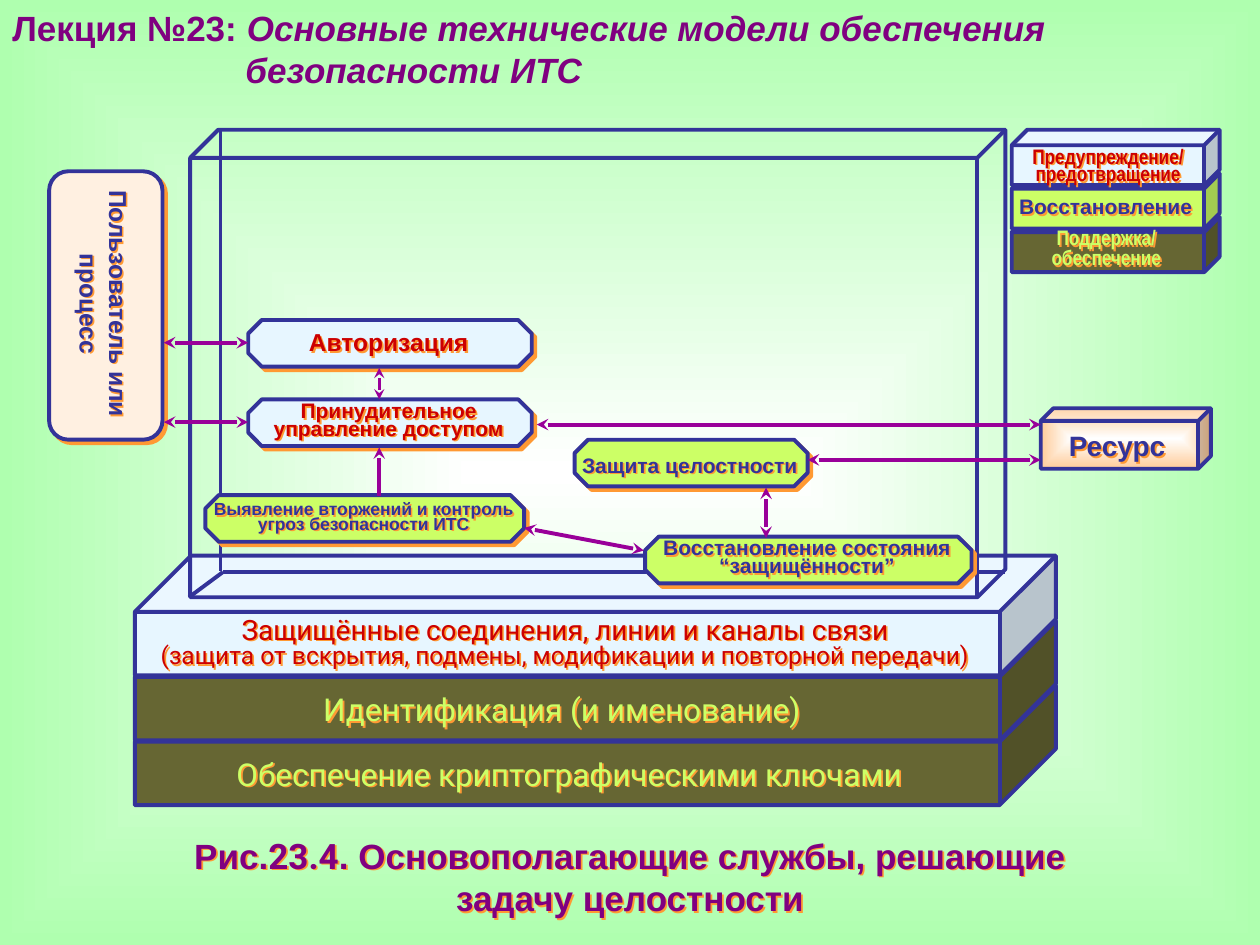
from lxml import etree
from pptx import Presentation
from pptx.dml.color import RGBColor
from pptx.enum.shapes import MSO_CONNECTOR, MSO_SHAPE
from pptx.enum.text import MSO_ANCHOR, PP_ALIGN
from pptx.oxml.ns import qn
from pptx.util import Inches, Pt

CUBE, OCT, ROUND = MSO_SHAPE.CUBE, MSO_SHAPE.OCTAGON, MSO_SHAPE.ROUNDED_RECTANGLE
LINE = MSO_CONNECTOR.STRAIGHT
CENTER, LEFT = PP_ALIGN.CENTER, PP_ALIGN.LEFT
MIDDLE, TOP = MSO_ANCHOR.MIDDLE, MSO_ANCHOR.TOP

WIDE, HIGH = Inches(10), Inches(7.5)
COLS, ROWS = 1000, 750

THEME = {
    "navy": "333399", "plum": "800080", "arrow": "990099", "red": "CC0000",
    "lime": "CCFF66", "olive": "666633", "ice": "E7F6FF", "cream": "FFF0E1",
    "glow": "FF9933", "white": "FFFFFF", "mint": "AFFFAF", "peach": "FFCC99",
    "edge": 2.25, "thin": 1.5, "cast": 2.8, "soft": 1.4,
    "head": 20, "bar": 18, "mid": 16, "text": 14, "small": 12, "tiny": 10,
}

BASE = ["olive", "olive", "ice"]
KEYS = ["olive", "lime", "ice"]
STAGES = [
    (163, 393, 253, "lime"),
    (512, 426, 259, "lime"),
    (456, 349, 185, "lime"),
    (197, 254, 225, "ice"),
    (197, 317, 225, "ice"),
]
EDGES = [
    (175, 103, 175, 453),
    (177, 454, 150, 474),
    (177, 454, 798, 454),
]
BOTH, END = ("headEnd", "tailEnd"), ("tailEnd",)
ARROWS = [
    (130, 272, 197, 272, "edge", BOTH),
    (130, 335, 197, 335, "edge", BOTH),
    (301, 317, 301, 292, "thin", BOTH),
    (301, 394, 301, 355, "edge", END),
    (426, 337, 826, 337, "edge", BOTH),
    (641, 365, 826, 365, "edge", BOTH),
    (608, 427, 608, 387, "edge", BOTH),
    (511, 437, 416, 419, "edge", BOTH),
]

BOLD = {"name": "Arial", "bold": True}
SLIM = {"name": "Arial Narrow", "bold": True}
PLAIN = {"name": "Roboto", "bold": False}
SLANT = {"italic": True}

TEXTS = [
    ((0, 662, 1000, 67), "head", "plum", BOLD, 1,
     [["Рис.", ("23.4", {"name": "Roboto"}),
       ". Основополагающие службы, решающие"], ["задачу целостности"]]),
    ((839, 340, 95, 27), "mid", "navy", BOLD, 1, [["Ресурс"]]),
    ((110, 491, 677, 40), "mid", "red", PLAIN, 0.8,
     [["Защищённые соединения, линии и каналы связи"],
      [("(защита от вскрытия, подмены, модификации и повторной передачи)",
        {"size": Pt(THEME["text"])})]]),
    ((120, 548, 652, 30), "bar", "lime", PLAIN, 1, [["Идентификация (и именование)"]]),
    ((126, 599, 652, 30), "bar", "lime", PLAIN, 1,
     [["Обеспечение криптографическими ключами"]]),
    ((213, 260, 191, 23), "text", "red", BOLD, 1, [["Авторизация"]]),
    ((213, 321, 191, 28), "small", "red", BOLD, 0.7,
     [["Принудительное управление доступом"]]),
    ((457, 359, 181, 20), "small", "navy", BOLD, 1, [["Защита целостности"]]),
    ((518, 430, 245, 28), "small", "navy", BOLD, 0.7,
     [["Восстановление состояния “защищённости”"]]),
    ((166, 400, 245, 23), "tiny", "navy", BOLD, 0.7,
     [["Выявление вторжений и контроль угроз безопасности ИТС"]]),
    ((814, 182, 128, 32), "small", "lime", SLIM, 0.8, [["Поддержка/"], ["обеспечение"]]),
    ((806, 154, 143, 20), "small", "navy", BOLD, 1, [["Восстановление"]]),
    ((806, 119, 147, 28), "small", "red", SLIM, 0.7,
     [["Предупреждение/"], ["предотвращение"]]),
]
USER = ((59, 151, 47, 184), "text", "navy", BOLD, 1, [["Пользователь или процесс"]])
TITLE = ((0, 0, 1000, 77), "head", "plum", BOLD, 1,
         [["Лекция №23: ", ("Основные технические модели обеспечения", SLANT)],
          [("безопасности ИТС", SLANT)]])


def hue(name):
    return RGBColor.from_string(THEME[name])


def place(*cells):
    units = (WIDE / COLS, HIGH / ROWS)
    return [round(n * units[i % 2]) for i, n in enumerate(cells)]


def add(root, tag, **attrs):
    return etree.SubElement(root, qn("a:" + tag), attrs)


def radiate(fill, root, kind, outer):
    fill.gradient()
    for stop, name in zip(fill.gradient_stops, ("white", outer)):
        stop.color.rgb = hue(name)
    grad = root.find(".//" + qn("a:gradFill"))
    grad.remove(grad.find(qn("a:lin")))
    ring = add(grad, "path", path=kind)
    add(ring, "fillToRect", l="50000", t="50000", r="50000", b="50000")


def cast(shape, size):
    shape.shadow.inherit = False
    glow = add(shape._element.spPr.find(qn("a:effectLst")), "outerShdw",
               dist=str(Pt(THEME[size])), dir="2700000", algn="ctr", rotWithShape="0")
    add(glow, "srgbClr", val=THEME["glow"])


def block(slide, kind, cells, fill, adj, shade=False):
    shape = slide.shapes.add_shape(kind, *place(*cells))
    shape.adjustments[0] = adj
    shape.shadow.inherit = False
    shape.line.color.rgb = hue("navy")
    shape.line.width = Pt(THEME["edge"])
    if fill is None:
        shape.fill.background()
    elif fill == "peach":
        radiate(shape.fill, shape._element.spPr, "rect", fill)
    else:
        shape.fill.solid()
        shape.fill.fore_color.rgb = hue(fill)
    if shade:
        cast(shape, "cast")


def rule(slide, cells, color, width, ends=()):
    line = slide.shapes.add_connector(LINE, *place(*cells))
    line.line.color.rgb = hue(color)
    line.line.width = Pt(THEME[width])
    for end in ends:
        add(line.line._get_or_add_ln(), end, type="stealth")
    add(line._element.spPr, "effectLst")


def write(slide, cells, size, color, face, gap, paras, label=True):
    box = slide.shapes.add_textbox(*place(*cells))
    frame = box.text_frame
    form = {"word_wrap": True, "vertical_anchor": MIDDLE if label else TOP}
    if label:
        form.update(dict.fromkeys(
            ("margin_left", "margin_top", "margin_right", "margin_bottom"), 0))
        cast(box, "soft")
    for key, val in form.items():
        setattr(frame, key, val)
    for i, runs in enumerate(paras):
        para = frame.paragraphs[0] if i == 0 else frame.add_paragraph()
        para.alignment = CENTER if label else LEFT
        para.line_spacing = gap
        for item in runs:
            text, more = (item, {}) if isinstance(item, str) else item
            run = para.add_run()
            run.text = text
            for key, val in {"size": Pt(THEME[size]), **face, **more}.items():
                setattr(run.font, key, val)
            run.font.color.rgb = hue(color)
    return box


def main():
    deck = Presentation()
    deck.slide_width, deck.slide_height = WIDE, HIGH
    slide = deck.slides.add_slide(deck.slide_layouts[6])
    radiate(slide.background.fill, slide._element, "shape", "mint")

    title = write(slide, *TITLE, label=False)
    title.text_frame.paragraphs[1]._p.get_or_add_pPr().set("marL", str(Inches(1.85)))

    for i, fill in enumerate(BASE):
        block(slide, CUBE, (107, 544 - 51.5 * i, 731, 95), fill, 0.47)
    block(slide, CUBE, (151, 103, 647, 371), None, 0.06)
    for cells in EDGES:
        rule(slide, cells, "navy", "edge")
    block(slide, ROUND, (39, 136, 90, 213), "cream", 0.17, True)
    user = write(slide, *USER)
    user.text_frame.vertical_anchor = TOP
    user.text_frame._txBody.bodyPr.set("vert", "eaVert")
    for x, y, w, fill in STAGES:
        block(slide, OCT, (x, y, w, 37), fill, 0.29, True)
    block(slide, CUBE, (826, 324, 135, 48), "peach", 0.21)
    for *cells, width, ends in ARROWS:
        rule(slide, cells, "arrow", width, ends)
    for i, fill in enumerate(KEYS):
        block(slide, CUBE, (803, 172 - 34.5 * i, 165, 44), fill, 0.28)
    for item in TEXTS:
        write(slide, *item)
    deck.save("out.pptx")


if __name__ == "__main__":
    main()
